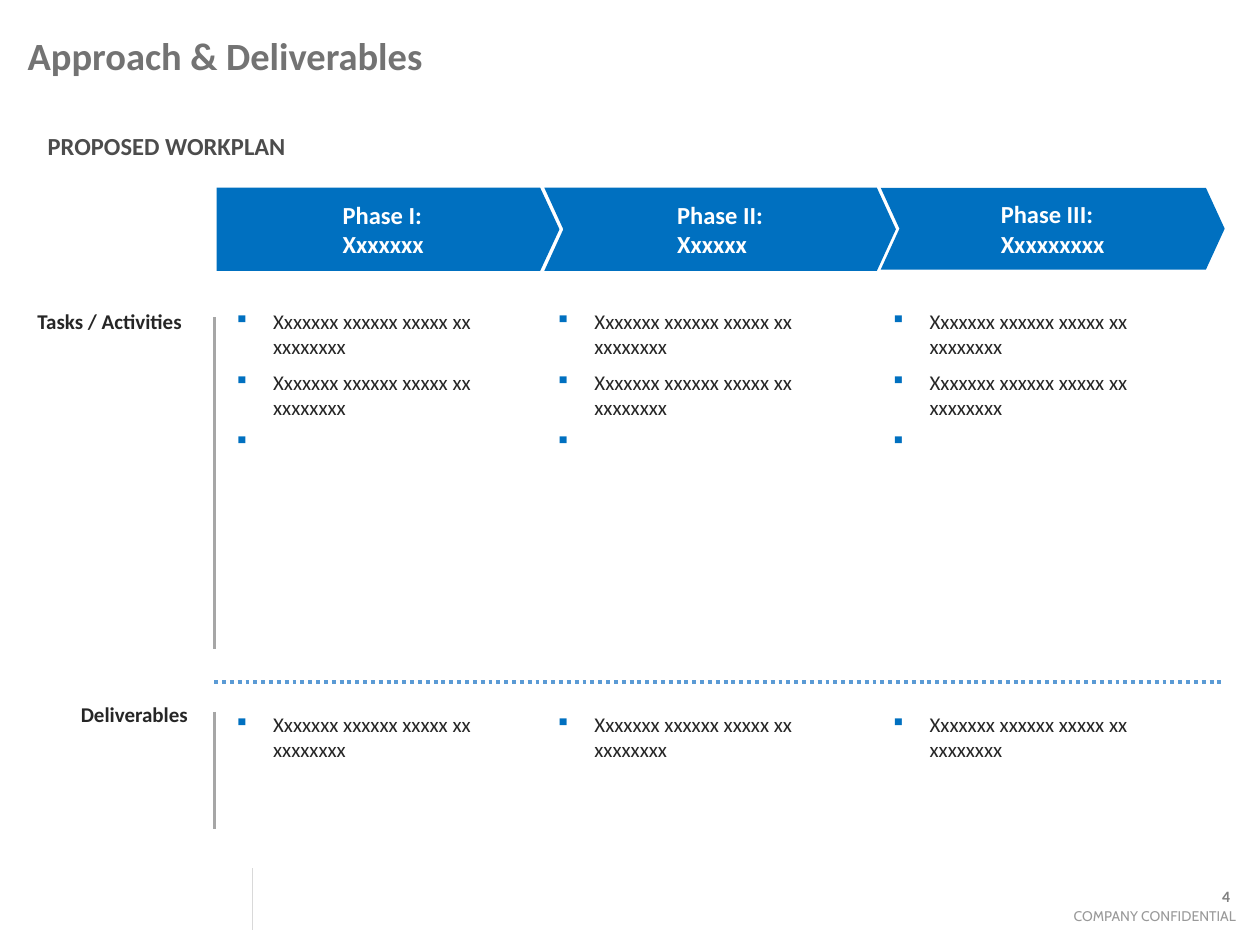
from lxml import etree
from pptx import Presentation
from pptx.dml.color import RGBColor
from pptx.enum.dml import MSO_LINE
from pptx.enum.shapes import MSO_CONNECTOR, MSO_SHAPE
from pptx.enum.text import MSO_ANCHOR, PP_ALIGN
from pptx.oxml.ns import qn
from pptx.util import Inches, Pt

BLUE, GREY, INK = "0070C0", "A6A6A6", "262626"
COLUMNS = [1.76, 4.31, 6.97]
COLUMN_W = 2.56
AXIS_X = 1.7
TASK = "Xxxxxxx xxxxxx xxxxx xx xxxxxxxx "


def rgb(value):
    return RGBColor.from_string(value)


def write(tf, lines, size, color, bold=False, align=PP_ALIGN.LEFT,
          anchor=MSO_ANCHOR.TOP, font="Calibri"):
    tf.word_wrap = True
    tf.vertical_anchor = anchor
    tf.text = "\n".join(lines)
    for p in tf.paragraphs:
        p.alignment = align
        for r in p.runs:
            r.font.name, r.font.size, r.font.bold = font, Pt(size), bold
            r.font.color.rgb = rgb(color)


def add_text(s, box, lines, size, color, **style):
    sp = s.shapes.add_textbox(*map(Inches, box))
    write(sp.text_frame, lines, size, color, **style)
    return sp


def add_line(s, x1, y1, x2, y2, color, width, dash=None):
    ln = s.shapes.add_connector(MSO_CONNECTOR.STRAIGHT,
                                *map(Inches, (x1, y1, x2, y2)))
    ln.line.color.rgb = rgb(color)
    ln.line.width = Pt(width)
    if dash:
        ln.line.dash_style = dash
    etree.SubElement(ln._element.spPr, qn("a:effectLst"))


def add_bullets(s, box, items):
    sp = add_text(s, box, items, 12, INK)
    for p in sp.text_frame.paragraphs:
        p.space_before = Pt(6)
        pPr = p._p.get_or_add_pPr()
        pPr.set("marL", str(Inches(0.31)))
        pPr.set("indent", str(-Inches(0.31)))
        clr = etree.SubElement(pPr, qn("a:buClr"))
        etree.SubElement(clr, qn("a:srgbClr")).set("val", BLUE)
        etree.SubElement(pPr, qn("a:buChar")).set("char", "▪")


def add_phase(s, box, kind, adj, lines):
    sp = s.shapes.add_shape(kind, *map(Inches, box))
    sp.adjustments[0] = adj
    sp.shadow.inherit = False
    sp.fill.solid()
    sp.fill.fore_color.rgb = rgb(BLUE)
    sp.line.fill.background()
    tf = sp.text_frame
    write(tf, lines, 14, "FFFFFF", bold=True, anchor=MSO_ANCHOR.MIDDLE)
    tf.margin_left = tf.margin_right = 0
    # Centre the left-aligned block as a whole
    tf._txBody.bodyPr.set("anchorCtr", "1")


def add_header(s):
    title = s.shapes.title
    title.left, title.top, title.width, title.height = map(
        Inches, (0.12, 0.05, 7.33, 0.78))
    write(title.text_frame, ["Approach & Deliverables"], 22, "737373",
          bold=True, anchor=MSO_ANCHOR.MIDDLE)
    add_text(s, (0.28, 0.99, 2.51, 0.34), ["PROPOSED WORKPLAN"], 14,
             "4C4C4C", bold=True)


def add_phases(s, top):
    phases = [
        (1.72, 2.72, 0.66, MSO_SHAPE.PENTAGON, 0.232, ["Phase I:", "Xxxxxxx"]),
        (4.32, 2.79, 0.66, MSO_SHAPE.CHEVRON, 0.229, ["Phase II:", "Xxxxxx"]),
        (6.99, 2.73, 0.65, MSO_SHAPE.CHEVRON, 0.229,
         ["Phase III:", "Xxxxxxxxx"]),
    ]
    for x, w, h, kind, adj, lines in phases:
        add_phase(s, (x, top, w, h), kind, adj, lines)


def add_row(s, label, label_box, top, height, items, axis):
    add_text(s, label_box, [label], 12, INK, bold=True, align=PP_ALIGN.RIGHT)
    add_line(s, AXIS_X, axis[0], AXIS_X, axis[1], GREY, 1.5)
    for x in COLUMNS:
        add_bullets(s, (x, top, COLUMN_W, height), items)


def add_footer(s):
    add_line(s, 2, 6.89, 2, 7.38, "D9D9D9", 0.5)
    add_text(s, (8.28, 7.15, 1.63, 0.24), ["COMPANY CONFIDENTIAL"], 8,
             "999999", align=PP_ALIGN.RIGHT, font="Cabin")
    add_text(s, (8.92, 6.91, 0.94, 0.4), ["4"], 9, "808080", bold=True,
             align=PP_ALIGN.RIGHT, anchor=MSO_ANCHOR.MIDDLE)


prs = Presentation()
prs.slide_width, prs.slide_height = Inches(10), Inches(7.5)
s = prs.slides.add_slide(prs.slide_layouts[5])

add_footer(s)
add_header(s)
add_phases(s, 1.49)
# Workplan rows, with a dotted divider between them
add_row(s, "Tasks / Activities ", (-0.04, 2.4, 1.62, 0.3), 2.4, 1.57,
        [TASK, TASK, " "], (2.52, 5.15))
add_line(s, AXIS_X, 5.41, 9.71, 5.41, "5B9BD5", 2.25, MSO_LINE.ROUND_DOT)
add_row(s, "Deliverables", (0.04, 5.52, 1.55, 0.5), 5.6, 0.5,
        [TASK], (5.65, 6.58))

prs.save("out.pptx")
